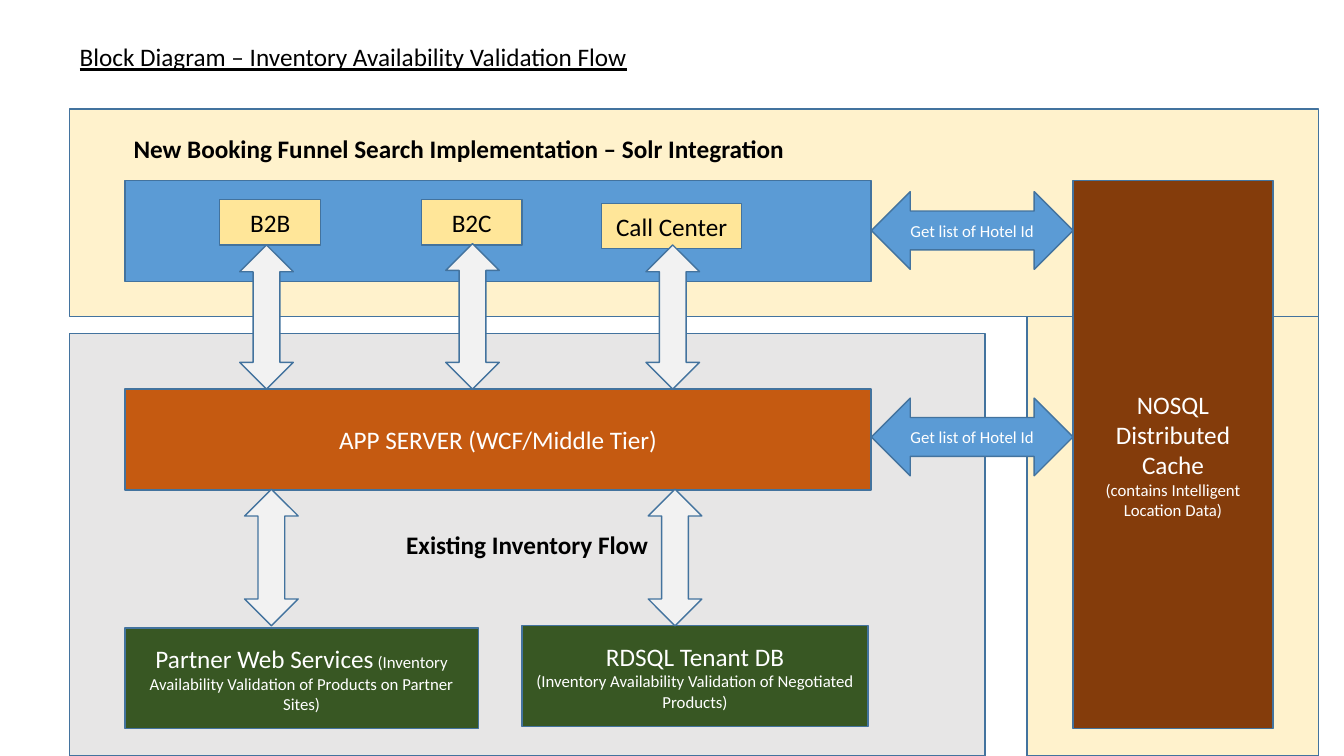
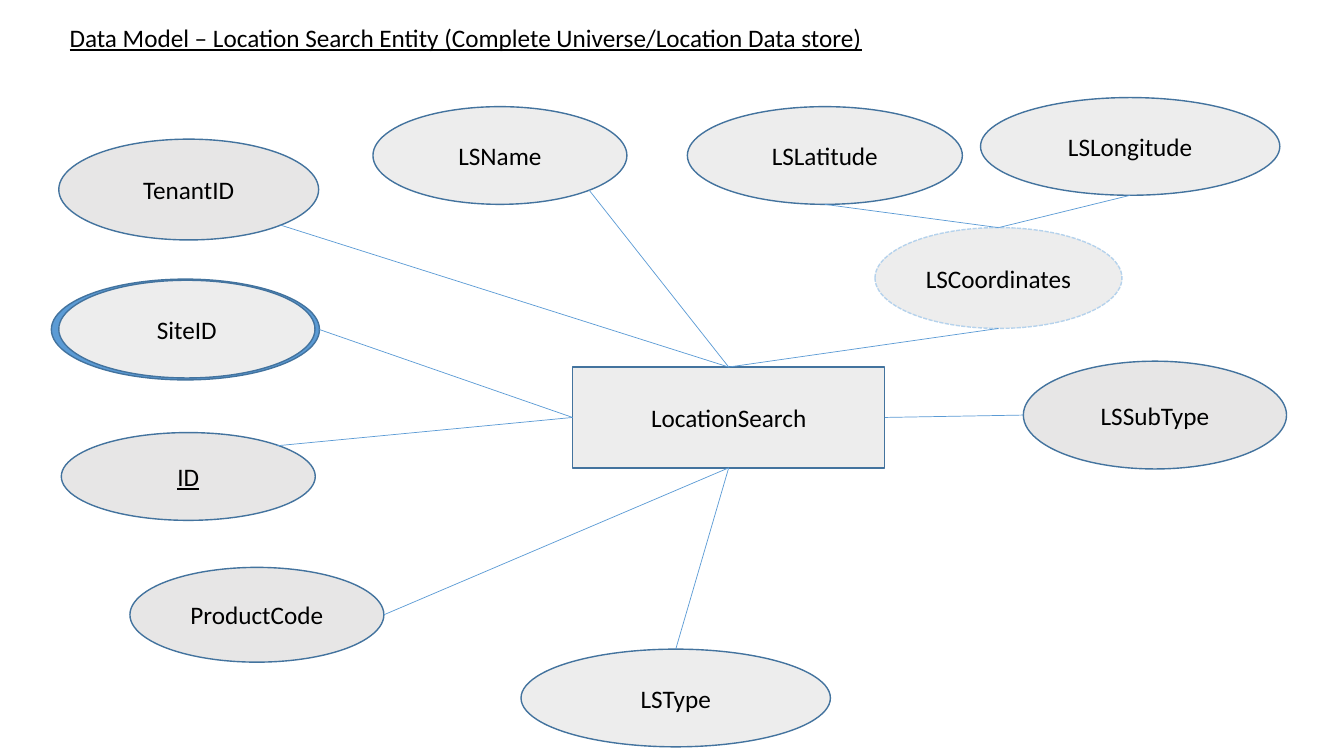
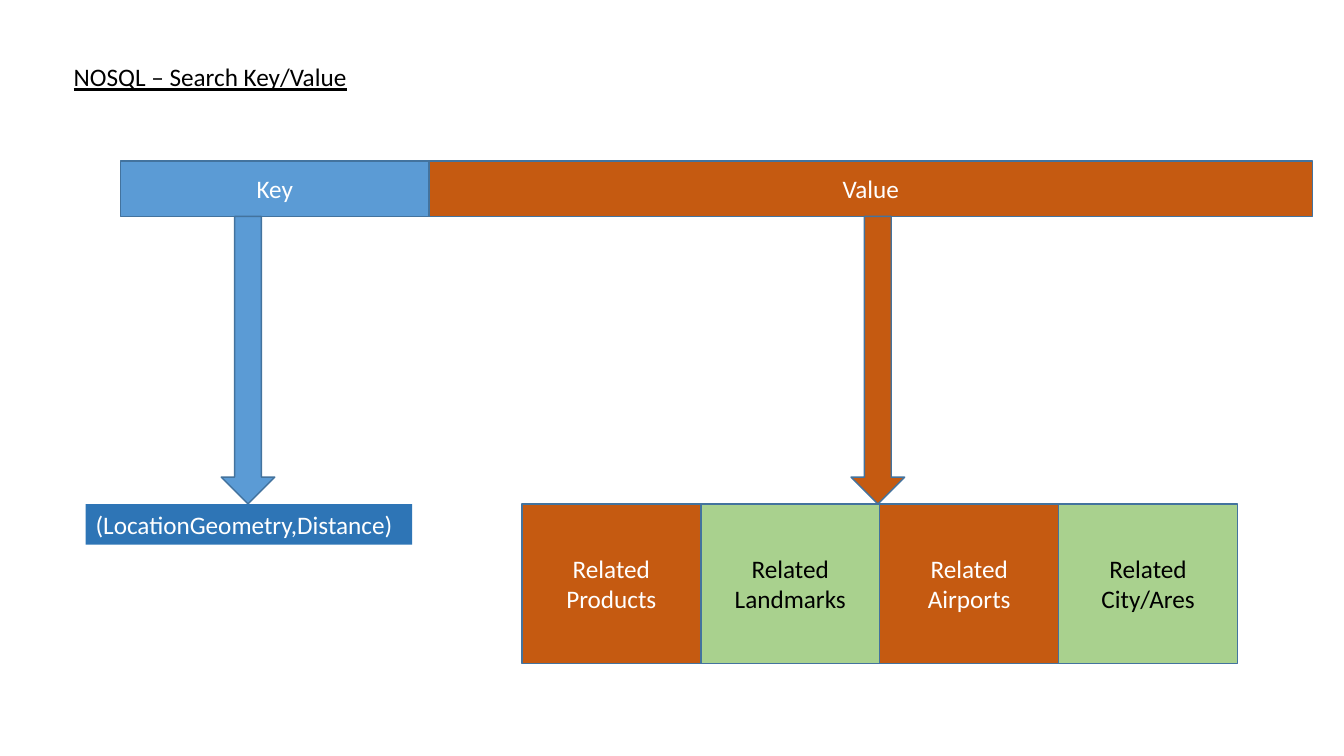
from lxml import etree
from pptx import Presentation
from pptx.dml.color import RGBColor
from pptx.enum.dml import MSO_LINE
from pptx.enum.shapes import MSO_CONNECTOR, MSO_SHAPE
from pptx.enum.text import MSO_ANCHOR, MSO_AUTO_SIZE, PP_ALIGN
from pptx.oxml.ns import qn
from pptx.util import Pt

RECT = MSO_SHAPE.RECTANGLE
OVAL = MSO_SHAPE.OVAL
WIDE = MSO_SHAPE.LEFT_RIGHT_ARROW
TALL = MSO_SHAPE.UP_DOWN_ARROW
DOWN = MSO_SHAPE.DOWN_ARROW
LEFT, MID = PP_ALIGN.LEFT, PP_ALIGN.CENTER
DASH = MSO_LINE.SQUARE_DOT
FONT = "Calibri"
HEX = {
    "black": "000000", "white": "FFFFFF", "edge": "43739E", "cream": "FFF2CC",
    "gray": "E7E6E6", "pale": "EDEDED", "light": "F2F2F2", "brown": "843C0B",
    "blue": "5B9BD5", "deep": "2E75B6", "sky": "B5D2EC", "gold": "FFE699",
    "rust": "C55A11", "green": "385723", "lime": "A9D18E",
}
RGB = {name: RGBColor.from_string(code) for name, code in HEX.items()}

deck = Presentation()
deck.slide_width, deck.slide_height = Pt(960), Pt(540)
slides = []
for text, left, top, width in [
    ("Block Diagram – Inventory Availability Validation Flow", 49.7, 26, 410),
    ("Data Model – Location Search Entity (Complete Universe/Location Data store)", 42.5, 12.2, 583),
    ("NOSQL – Search Key/Value", 45.4, 40.3, 212),
]:
    slide = deck.slides.add_slide(deck.slide_layouts[5])
    title = slide.shapes.title
    title.left, title.top, title.width, title.height = Pt(left), Pt(top), Pt(width), Pt(29)
    frame = title.text_frame
    frame.text = text
    frame.word_wrap = False
    frame.auto_size = MSO_AUTO_SIZE.NONE
    frame.vertical_anchor = MSO_ANCHOR.TOP
    para = frame.paragraphs[0]
    para.alignment = LEFT
    para.font.name, para.font.size = FONT, Pt(18)
    para.font.underline = True
    para.font.color.rgb = RGB["black"]
    slides.append(slide)
flow, model, store = slides


def write(frame, paras, ink="white", bold=False, align=MID):
    for i, runs in enumerate(paras):
        para = frame.add_paragraph() if i else frame.paragraphs[0]
        para.alignment = align
        para.font.name, para.font.bold = FONT, bold
        para.font.color.rgb = RGB[ink]
        if len({size for _, size in runs}) == 1:
            para.font.size = Pt(runs[0][1])
        for text, size in runs:
            run = para.add_run()
            run.text = text
            if len(runs) > 1:
                run.font.size = Pt(size)


def block(slide, kind, box, fill, text="", ink="white", size=18, edge="edge"):
    shape = slide.shapes.add_shape(kind, *[Pt(n) for n in box])
    shape.shadow.inherit = False
    shape.fill.solid()
    shape.fill.fore_color.rgb = RGB[fill]
    if edge:
        shape.line.color.rgb = RGB[edge]
        shape.line.width = Pt(1)
    else:
        shape.line.fill.background()
    if text:
        write(shape.text_frame, [[(text, size)]], ink)
    return shape


block(flow, RECT, (733.7, 105, 208, 435), "cream")
block(flow, RECT, (49.7, 77.8, 892, 148.3), "cream")
zone = block(flow, RECT, (49.7, 238.3, 653.8, 301.7), "gray")
write(zone.text_frame, [[("Existing Inventory Flow", 18)]], "black", True)
cache = block(flow, RECT, (766.5, 129, 142.8, 391.5), "brown")
write(cache.text_frame, [[("NOSQL Distributed Cache", 18)],
                         [("(contains Intelligent Location Data)", 12)]])
block(flow, RECT, (89.3, 129, 533, 72), "blue")
for text, left, top, width in [("B2B", 157, 142.7, 72), ("B2C", 301, 142.7, 72),
                               ("Call Center", 429.8, 145.3, 100)]:
    block(flow, RECT, (left, top, width, 32.3), "gold", text, "black")
block(flow, RECT, (89.3, 278, 533, 72), "rust", "APP SERVER (WCF/Middle Tier)")
web = block(flow, RECT, (89.3, 448.5, 252.3, 72), "green")
write(web.text_frame, [[("Partner Web Services", 18),
                        (" (Inventory Availability Validation of Products on Partner Sites)", 12)]])
base = block(flow, RECT, (373, 447, 247, 72), "green")
write(base.text_frame, [[("RDSQL Tenant DB", 18)],
                        [("(Inventory Availability Validation of Negotiated Products)", 12)]])
for left, top, end in [(174.7, 349.4, 447), (463, 349.4, 447), (171.2, 175, 278),
                       (318.4, 174, 278), (461.4, 175, 278)]:
    block(flow, TALL, (left, top, 38.3, end - top), "light")
for top in (136.9, 284.4):
    block(flow, WIDE, (622.5, top, 144, 55.5), "blue", "Get list of Hotel Id", size=12)
head = flow.shapes.add_textbox(Pt(88.3), Pt(91.7), Pt(483), Pt(29)).text_frame
head.word_wrap = False
write(head, [[("New Booking Funnel Search Implementation – Solr Integration", 18)]],
      "black", True, LEFT)

spots = {}
for name, kind, fill, box in [
    ("", OVAL, "blue", (36.7, 199.4, 191.5, 72)),
    ("LocationSearch", RECT, "pale", (409, 262.2, 223, 72)),
    ("LSName", OVAL, "pale", (266.4, 76.2, 181.4, 69.8)),
    ("LSLatitude", OVAL, "pale", (491, 76.2, 196.4, 69.8)),
    ("LSLongitude", OVAL, "pale", (700.4, 69.7, 213.8, 69.8)),
    ("LSType", OVAL, "pale", (372.2, 463.7, 221, 69.8)),
    ("SiteID", OVAL, "pale", (42, 200.2, 183, 69.8)),
    ("LSSubType", OVAL, "gray", (731, 258, 188, 77)),
    ("LSCoordinates", OVAL, "pale", (625, 162.6, 176.4, 72)),
    ("TenantID", OVAL, "gray", (42, 99.4, 185.6, 72)),
    ("ProductCode", OVAL, "gray", (92.8, 405.3, 181.4, 67.7)),
    ("ID", OVAL, "gray", (43.8, 309, 181.4, 62.7)),
]:
    shape = block(model, kind, box, fill, name, "black")
    spots[name] = box
    if name == "LSCoordinates":
        shape.line.color.rgb = RGB["sky"]
        shape.line.dash_style = DASH
    if name == "ID":
        shape.text_frame.paragraphs[0].font.underline = True

SIDES = {"top": (0.5, 0), "left": (0, 0.5), "base": (0.5, 1), "right": (1, 0.5),
         "low": (0.85, 0.85), "high": (0.85, 0.15)}
for pair in [
    (("LocationSearch", "top"), ("LSName", "low")),
    (("LocationSearch", "top"), ("LSCoordinates", "base")),
    (("LSLongitude", "base"), ("LSCoordinates", "top")),
    (("LSType", "top"), ("LocationSearch", "base")),
    (("LocationSearch", "right"), ("LSSubType", "left")),
    (("LSCoordinates", "top"), ("LSLatitude", "base")),
    (("LocationSearch", "top"), ("TenantID", "low")),
    (("LocationSearch", "left"), ("", "right")),
    (("LocationSearch", "base"), ("ProductCode", "right")),
    (("ID", "high"), ("LocationSearch", "left")),
]:
    ends = []
    for name, side in pair:
        left, top, width, height = spots[name]
        across, down = SIDES[side]
        ends += [Pt(left + width * across), Pt(top + height * down)]
    link = model.shapes.add_connector(MSO_CONNECTOR.STRAIGHT, *ends)
    link.line.color.rgb = RGB["blue"]
    link.line.width = Pt(0.5)
    etree.SubElement(link._element.spPr, qn("a:effectLst"))

block(store, RECT, (86, 115, 220.5, 39.6), "blue", "Key")
block(store, RECT, (306.5, 115, 631, 39.6), "rust", "Value")
for left, fill in [(158, "blue"), (607.9, "rust")]:
    block(store, DOWN, (left, 154.6, 38.3, 205.4), fill)
pair = block(store, RECT, (61.2, 360, 233.3, 29), "deep", edge=None)
pair.text_frame.word_wrap = False
write(pair.text_frame, [[("(LocationGeometry,Distance)", 18)]], align=LEFT)
for i, text in enumerate(["Products", "Landmarks", "Airports", "City/Ares"]):
    fill, ink = (("rust", "white"), ("lime", "black"))[i % 2]
    block(store, RECT, (372.8 + i * 127.8, 360, 127.8, 113.8), fill, "Related " + text, ink)

deck.save("out.pptx")
